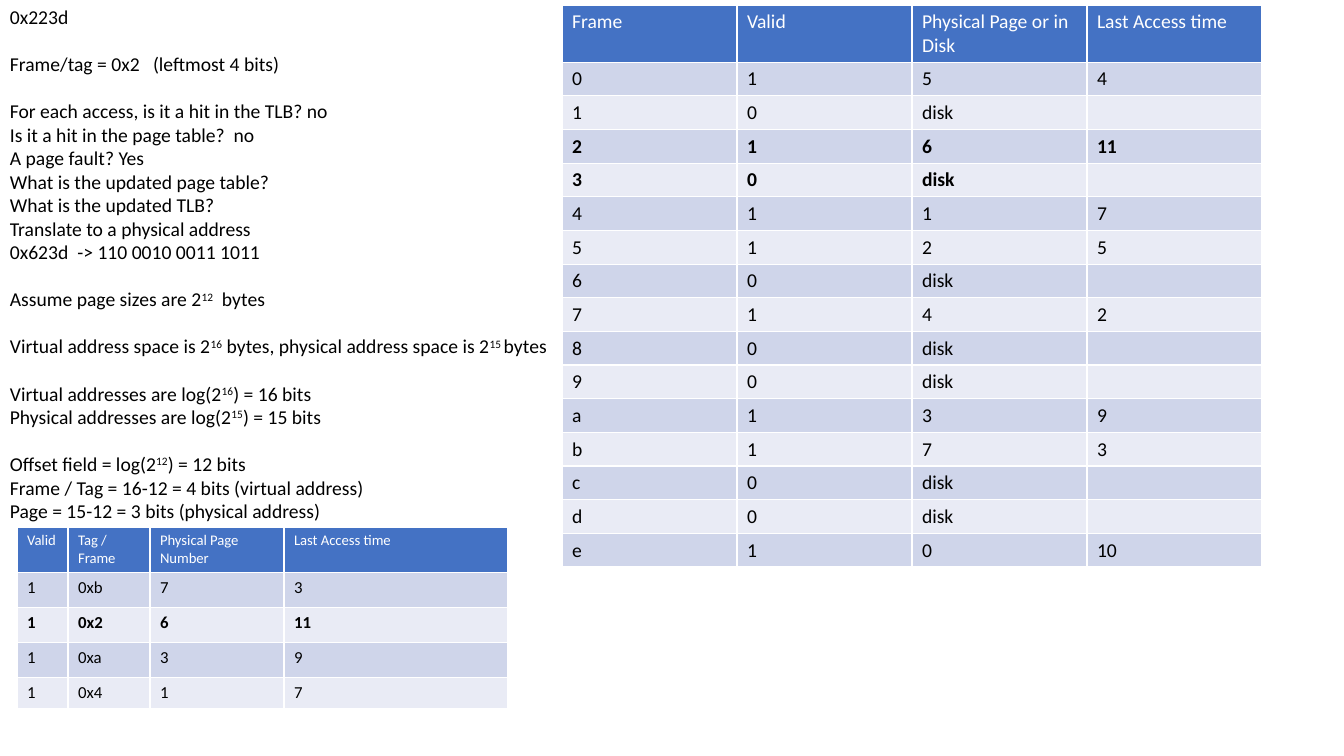
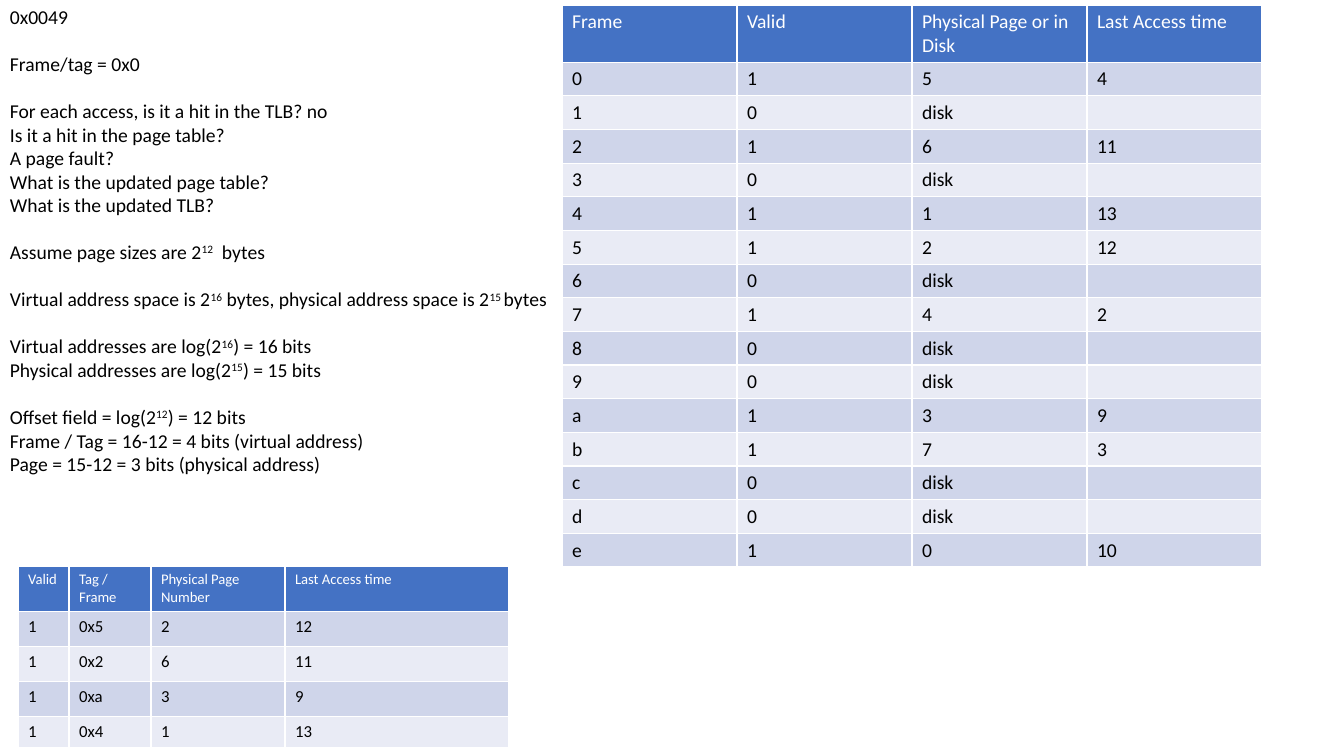
from lxml import etree
from pptx import Presentation
from pptx import util as u
from pptx.dml.color import RGBColor
from pptx.enum import text
from pptx.oxml.ns import qn

# Shared content: ^ marks the start and end of a superscript
ASSUMPTIONS = [
    ["Assume page sizes are 2^12^  bytes"],
    ["Virtual address space is 2^16^ bytes, physical address space is 2^15 ^bytes"],
    ["Virtual addresses are log(2^16^) = 16 bits",
     "Physical addresses are log(2^15^) = 15 bits"],
    ["Offset field = log(2^12^) = 12 bits",
     "Frame / Tag = 16-12 = 4 bits (virtual address)",
     "Page = 15-12 = 3 bits (physical address)"],
]
UPDATES = ["What is the updated page table?", "What is the updated TLB?"]
TLB_HEADER = ["Valid", "Tag / Frame", "Physical Page Number ", "Last Access time"]
PAGE_HEADER = ["Frame", "Valid", "Physical Page or in Disk", "Last Access time"]
FRAMES = "0123456789abcde"
PAGES = {"0": "5", "2": "6", "4": "1", "5": "2", "7": "4", "a": "3", "b": "7", "e": "0"}
ACCESS_TIMES = {"0": "4", "2": "11", "7": "2", "a": "9", "b": "3", "e": "10"}

# Content of each slide
SLIDES = [
    dict(
        questions=[
            ["0x223d"],
            ["Frame/tag = 0x2   (leftmost 4 bits)"],
            ["For each access, is it a hit in the TLB? no",
             "Is it a hit in the page table?  no",
             "A page fault? Yes",
             *UPDATES,
             "Translate to a physical address ",
             "0x623d  -> 110 0010 0011 1011"],
        ],
        times={"4": "7", "5": "5"},
        tlb_frames="b2a4", tlb_corner=(17, 527), text_height=556,
        bold_tlb="2", bold_pages="23",
    ),
    dict(
        questions=[
            ["0x0049"],
            ["Frame/tag = 0x0"],
            ["For each access, is it a hit in the TLB? no",
             "Is it a hit in the page table? ",
             "A page fault?  ",
             *UPDATES],
        ],
        times={"4": "13", "5": "12"},
        tlb_frames="52a4", tlb_corner=(18, 566), text_height=509,
        bold_tlb="", bold_pages="",
    ),
]

# Shared style
FONT = "Calibri"
BLACK, WHITE, HEADER_BLUE = "000000", "FFFFFF", "4472C4"
BANDS = ["CFD5EA", "E9EBF5"]
BODY_SIZE = 14
BLANK_LINE = 16.8
TEXT_WIDTH = 561
TLB_STYLE = dict(widths=[51, 82, 134, 224], heights=[45, 35, 35, 35, 31],
                 header_size=10.5, size=12)
PAGE_STYLE = dict(widths=[175] * 4, heights=[57] + [33] * len(FRAMES),
                  header_size=14, size=14)
PAGE_CORNER = (562, 5)


def px(length):
    return u.Emu(round(length * 914400 / 100.8))


def color(value):
    return RGBColor.from_string(value)


def write(paragraph, content, size, ink=BLACK, bold=False):
    style = dict(name=FONT, size=u.Pt(size), bold=bold)
    for index, part in enumerate(content.split("^")):
        if not part:
            continue
        run = paragraph.add_run()
        run.text = part
        for name, value in style.items():
            setattr(run.font, name, value)
        run.font.color.rgb = color(ink)
        if index % 2:
            run._r.get_or_add_rPr().set("baseline", "30000")
    if not content:  # an empty cell keeps the row's text size
        etree.SubElement(paragraph._p, qn("a:endParaRPr"), sz=str(int(size * 100)))


def add_notes_text(slide, blocks, height):
    shape = slide.shapes.add_textbox(0, 0, px(TEXT_WIDTH), px(height))
    frame = shape.text_frame
    frame.word_wrap = True
    frame.auto_size = text.MSO_AUTO_SIZE.SHAPE_TO_FIT_TEXT
    paragraph = frame.paragraphs[0]
    for block_index, block in enumerate(blocks):
        for line_index, line in enumerate(block):
            if block_index or line_index:
                paragraph = frame.add_paragraph()
            if block_index and not line_index:
                paragraph.space_before = u.Pt(BLANK_LINE)
            write(paragraph, line, BODY_SIZE)


def add_grid(slide, corner, header, rows, bold_rows, widths, heights, header_size, size):
    left, top = corner
    table = slide.shapes.add_table(len(heights), len(widths), px(left), px(top),
                                   px(sum(widths)), px(sum(heights))).table
    for column, width in zip(table.columns, widths):
        column.width = px(width)
    for index, (row, values) in enumerate(zip(table.rows, [header, *rows])):
        row.height = px(heights[index])
        if index:
            fill, style = BANDS[(index - 1) % 2], (size, BLACK, index - 1 in bold_rows)
        else:
            fill, style = HEADER_BLUE, (header_size, WHITE, False)
        for cell, value in zip(row.cells, values):
            cell.fill.solid()
            cell.fill.fore_color.rgb = color(fill)
            write(cell.text_frame.paragraphs[0], value, *style)


presentation = Presentation()
presentation.slide_width, presentation.slide_height = px(1344), px(756)

for content in SLIDES:
    slide = presentation.slides.add_slide(presentation.slide_layouts[6])
    times = ACCESS_TIMES | content["times"]

    # Questions and assumptions
    add_notes_text(slide, content["questions"] + ASSUMPTIONS, content["text_height"])

    # TLB
    tlb_frames = content["tlb_frames"]
    tlb_rows = [("1", "0x" + frame, PAGES[frame], times[frame]) for frame in tlb_frames]
    bold_rows = [tlb_frames.index(frame) for frame in content["bold_tlb"]]
    add_grid(slide, content["tlb_corner"], TLB_HEADER, tlb_rows, bold_rows, **TLB_STYLE)

    # Page table: a frame without a page is on disk
    page_rows = [(frame, str(int(frame in PAGES)), PAGES.get(frame, "disk"),
                  times.get(frame, "")) for frame in FRAMES]
    bold_rows = [FRAMES.index(frame) for frame in content["bold_pages"]]
    add_grid(slide, PAGE_CORNER, PAGE_HEADER, page_rows, bold_rows, **PAGE_STYLE)

presentation.save("out.pptx")
